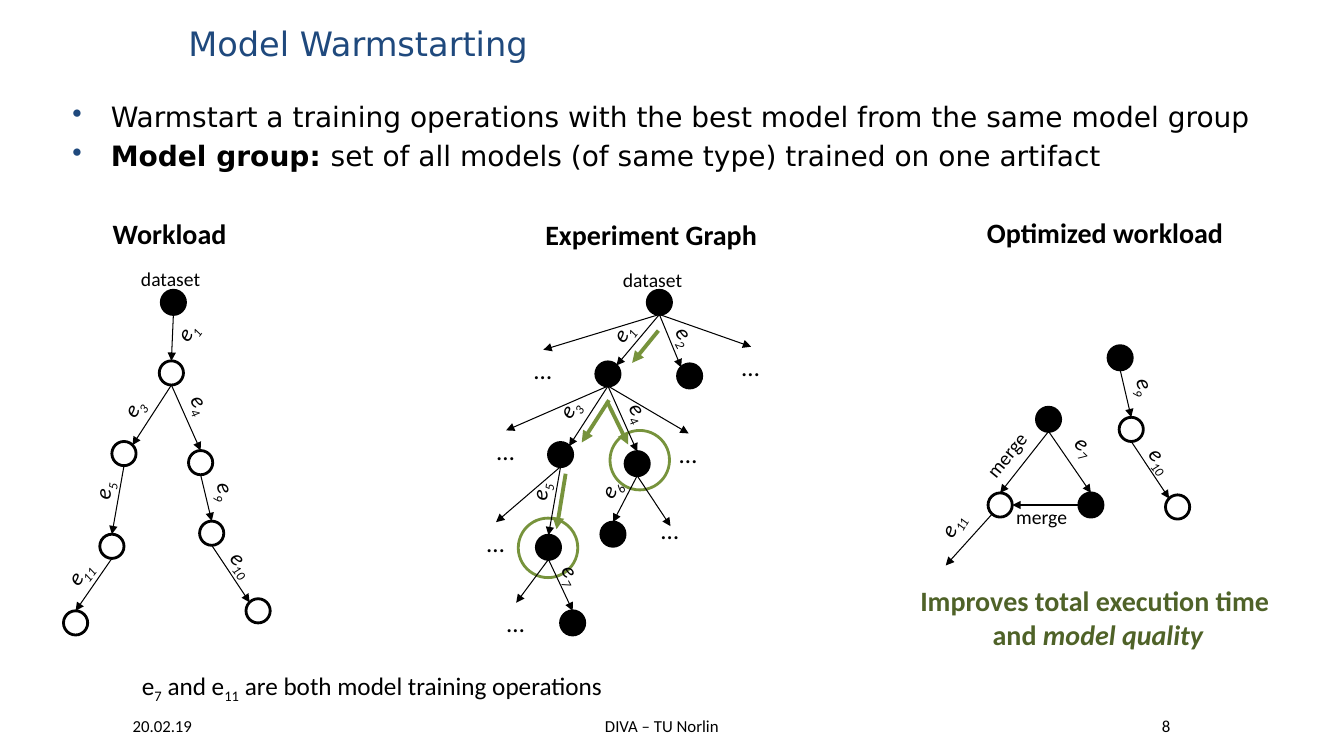
from lxml.etree import SubElement
from pptx import Presentation
from pptx.dml.color import RGBColor
from pptx.enum.shapes import MSO_CONNECTOR, MSO_SHAPE
from pptx.enum.text import MSO_ANCHOR, MSO_AUTO_SIZE, PP_ALIGN
from pptx.oxml.ns import qn
from pptx.util import Inches, Pt

BLACK = RGBColor(0x00, 0x00, 0x00)
BLUE = RGBColor(0x1F, 0x49, 0x7D)
GREEN = RGBColor(0x77, 0x93, 0x3C)
DARK_GREEN = RGBColor(0x4F, 0x62, 0x28)
BODY_FONT, TITLE_FONT = "Calibri", "DejaVu Sans"

# The slide is a grid of square cells, ten to the inch
CELL = Inches(0.1)
RADIUS = 1.2
SITES = {
    "top": (0, -1), "bottom": (0, 1), "left": (-1, 0), "right": (1, 0),
    "top left": (-0.7, -0.7), "top right": (0.7, -0.7), "bottom left": (-0.7, 0.7),
}

deck = Presentation()
deck.slide_width, deck.slide_height = Inches(13.33), Inches(7.5)
page = deck.slides.add_slide(deck.slide_layouts[6])


def add_text(area, paragraphs, size, color=BLACK, font=BODY_FONT,
             align=PP_ALIGN.LEFT, turn=0, wrap=False, grow=True):
    """Place paragraphs, each a list of (text, style) runs; style holds b, i or sub."""
    box = page.shapes.add_textbox(*(round(cells * CELL) for cells in area))
    box.rotation = turn
    frame = box.text_frame
    frame.word_wrap = wrap
    frame.auto_size = MSO_AUTO_SIZE.SHAPE_TO_FIT_TEXT if grow else MSO_AUTO_SIZE.NONE
    for index, runs in enumerate(paragraphs):
        para = frame.add_paragraph() if index else frame.paragraphs[0]
        para.alignment = align
        for text, style in runs:
            if text == "\n":
                para.add_line_break()
                continue
            span = para.add_run()
            span.text = text
            span.font.size, span.font.name = Pt(size), font
            span.font.color.rgb = color
            span.font.bold, span.font.italic = "b" in style.split(), "i" in style.split()
            if "sub" in style.split():
                span.font._element.set("baseline", "-25000")
    return frame


def add_arrow(start, end, color=BLACK, weight=0.75):
    points = [round(cells * CELL) for cells in (*start, *end)]
    arrow = page.shapes.add_connector(MSO_CONNECTOR.STRAIGHT, *points)
    arrow.line.color.rgb = color
    arrow.line.width = Pt(weight)
    SubElement(arrow.line._get_or_add_ln(), qn("a:tailEnd"), type="triangle")
    SubElement(arrow._element.spPr, qn("a:effectLst"))


# Title and bullets
title = add_text((17.7, 0.8, 100, 7), [[("Model Warmstarting", "")]], 24, BLUE,
                 TITLE_FONT, wrap=True, grow=False)
title.vertical_anchor = MSO_ANCHOR.MIDDLE
bullets = add_text((6.2, 9.4, 120.8, 10.4), [
    [("Warmstart a training operations with the best model from the same model group", "")],
    [("Model group: ", "b"), ("set of all models (of same type) trained on one artifact", "")],
], 20, font=TITLE_FONT, wrap=True, grow=False)
for para in bullets.paragraphs:
    para.space_before = Pt(4)
    properties = para._element.get_or_add_pPr()
    properties.set("marL", str(Inches(0.38)))
    properties.set("indent", str(-Inches(0.38)))
    bullet_color = SubElement(properties, qn("a:buClr"))
    SubElement(bullet_color, qn("a:srgbClr"), val=str(BLUE))
    SubElement(properties, qn("a:buChar"), char="•")

# Graph nodes: centre and whether the node is already computed
nodes = {
    "work root": (17.2, 30, True), "work hub": (17, 37, False),
    "work left": (12.3, 45, False), "work left low": (11.1, 54.2, False),
    "work left leaf": (7.5, 61.8, False), "work right": (19.9, 45.9, False),
    "work right low": (21, 52.9, False), "work right leaf": (25.6, 60.6, False),
    "graph root": (65.4, 30, True), "graph hub": (60.3, 37.1, True),
    "graph left": (55.6, 45.1, True), "graph left low": (54.4, 54.3, True),
    "graph left leaf": (56.8, 61.8, True), "graph right": (63.2, 46, True),
    "graph right low": (60.8, 53, True), "graph side": (68.4, 37.3, True),
    "best source": (104, 41.6, True), "best merged": (99.2, 50.1, False),
    "best trained": (108.2, 50.1, True), "best top": (111.1, 35.5, True),
    "best middle": (112.2, 42.6, False), "best leaf": (116.8, 50.3, False),
}
rings = [(63.45, 45.65), (54.35, 54.35)]
circles = [(x, y, RADIUS, done, BLACK) for x, y, done in nodes.values()]
circles += [(x, y, 2.95, False, GREEN) for x, y in rings]
for x, y, radius, done, color in circles:
    circle = page.shapes.add_shape(
        MSO_SHAPE.OVAL, round((x - radius) * CELL), round((y - radius) * CELL),
        round(2 * radius * CELL), round(2 * radius * CELL))
    circle.shadow.inherit = False
    circle.line.color.rgb = color
    circle.line.width = Pt(2)
    if done:
        circle.fill.solid()
        circle.fill.fore_color.rgb = color
    else:
        circle.fill.background()

# Edges between nodes, from site to site
edges = [
    ("work root", "work hub", "bottom", "top"),
    ("work hub", "work left", "bottom", "top right"),
    ("work hub", "work right", "bottom", "top"),
    ("work right", "work right low", "bottom", "top"),
    ("work right low", "work right leaf", "bottom", "top left"),
    ("work left", "work left low", "bottom", "top"),
    ("work left low", "work left leaf", "bottom", "top"),
    ("graph root", "graph hub", "bottom", "top right"),
    ("graph root", "graph side", "bottom", "top left"),
    ("graph hub", "graph left", "bottom", "top right"),
    ("graph hub", "graph right", "bottom", "top"),
    ("graph right", "graph right low", "bottom", "top"),
    ("graph left", "graph left low", "bottom", "top"),
    ("graph left low", "graph left leaf", "bottom", "top"),
    ("best top", "best middle", "bottom", "top"),
    ("best middle", "best leaf", "bottom", "top left"),
    ("best source", "best merged", "bottom", "top"),
    ("best source", "best trained", "bottom", "top"),
    ("best trained", "best merged", "left", "right"),
]
for parent, child, *sites in edges:
    ends = [(nodes[name][0] + RADIUS * SITES[site][0], nodes[name][1] + RADIUS * SITES[site][1])
            for name, site in zip((parent, child), sites)]
    add_arrow(*ends)
add_arrow((98.4, 51), (93.8, 56.1))

# Open branches, each ending in an ellipsis; the last number is its vertical gap
branches = [
    ("graph root", 53.9, 34.7, 0), ("graph root", 74.5, 34.4, 0),
    ("graph hub", 50.2, 42.7, 0), ("graph hub", 68.3, 43, 0),
    ("graph left", 49.2, 51.8, 0), ("graph right", 66.5, 52.2, -1.7),
    ("graph left low", 51.2, 59.8, 0),
]
for parent, x, y, gap in branches:
    add_arrow((nodes[parent][0], nodes[parent][1] + RADIUS), (x, y))
    add_text((x - 1.9, y + gap, 3.8, 4), [[("…", "")]], 18)

# Green search steps
steps = [((65.3, 32.8), (62.7, 36)), ((60.2, 39.8), (62.3, 44.1)),
         ((60.4, 39.7), (57.7, 43.9)), ((56.1, 47), (55.2, 52.5))]
for start, end in steps:
    add_arrow(start, end, GREEN, 2.75)

# Edge names: index, centre, rotation
edge_names = [
    ("1", 18.5, 32.85, 306.5), ("3", 13.2, 40.35, 306.5), ("4", 20, 40.15, 61.4),
    ("5", 10.2, 48.65, 277.6), ("9", 22.5, 48.85, 79.2), ("10", 24.2, 55.95, 50.8),
    ("11", 7.9, 56.75, 308.8),
    ("1", 61.7, 32.95, 306.5), ("2", 68.1, 33.35, 61.7), ("3", 56.4, 40.45, 306.5),
    ("4", 63.5, 40.95, 61.4), ("5", 53.5, 48.75, 277.6), ("6", 60.5, 48.45, 301.4),
    ("7", 56.8, 57.05, 61.8),
    ("9", 113.7, 38.45, 79.2), ("10", 115.3, 45.65, 50.8), ("11", 94.4, 51.95, 299.4),
    ("7", 107.7, 44.25, 44.2),
]
for number, x, y, turn in edge_names:
    width = 3 + 0.8 * len(number)
    add_text((x - width / 2, y - 1.85, width, 3.7),
             [[("e", "i"), (number, "i sub")]], 16, turn=turn)

# Headings and small captions
for heading, left, top, width in [("Workload", 10.2, 21, 13.4),
                                  ("Experiment Graph", 53.1, 21.1, 23.2),
                                  ("Optimized workload", 96.9, 20.9, 25.7)]:
    add_text((left, top, width, 4.4), [[(heading, "b")]], 20)
for caption, left, top, width, turn in [("dataset", 13, 26, 8, 0), ("dataset", 60.8, 26.1, 8, 0),
                                        ("merge", 99.8, 49.6, 7.1, 0),
                                        ("merge", 96.3, 43.4, 7.1, 309.2)]:
    add_text((left, top, width, 3.4), [[(caption, "")]], 14, turn=turn)

# Remarks
add_text((12.3, 66, 49.2, 4), [[
    ("e", ""), ("7", "sub"), (" and e", ""), ("11", "sub"),
    (" are both model training operations", ""),
]], 18, align=PP_ALIGN.CENTER)
add_text((90.1, 57.4, 37.6, 7.7), [[
    ("Improves total execution time ", "b"), ("\n", ""), ("and ", "b"), ("model quality", "b i"),
]], 20, DARK_GREEN, align=PP_ALIGN.CENTER)

# Footer
for note, left, width in [("20.02.19", 6.2, 19.8), ("DIVA – TU Norlin", 49, 33.3),
                          ("8", 104.2, 22.9)]:
    footer = add_text((left, 70.5, width, 3), [[(note, "")]], 12,
                      align=PP_ALIGN.CENTER, wrap=True)
    footer.vertical_anchor = MSO_ANCHOR.MIDDLE

deck.save("out.pptx")
